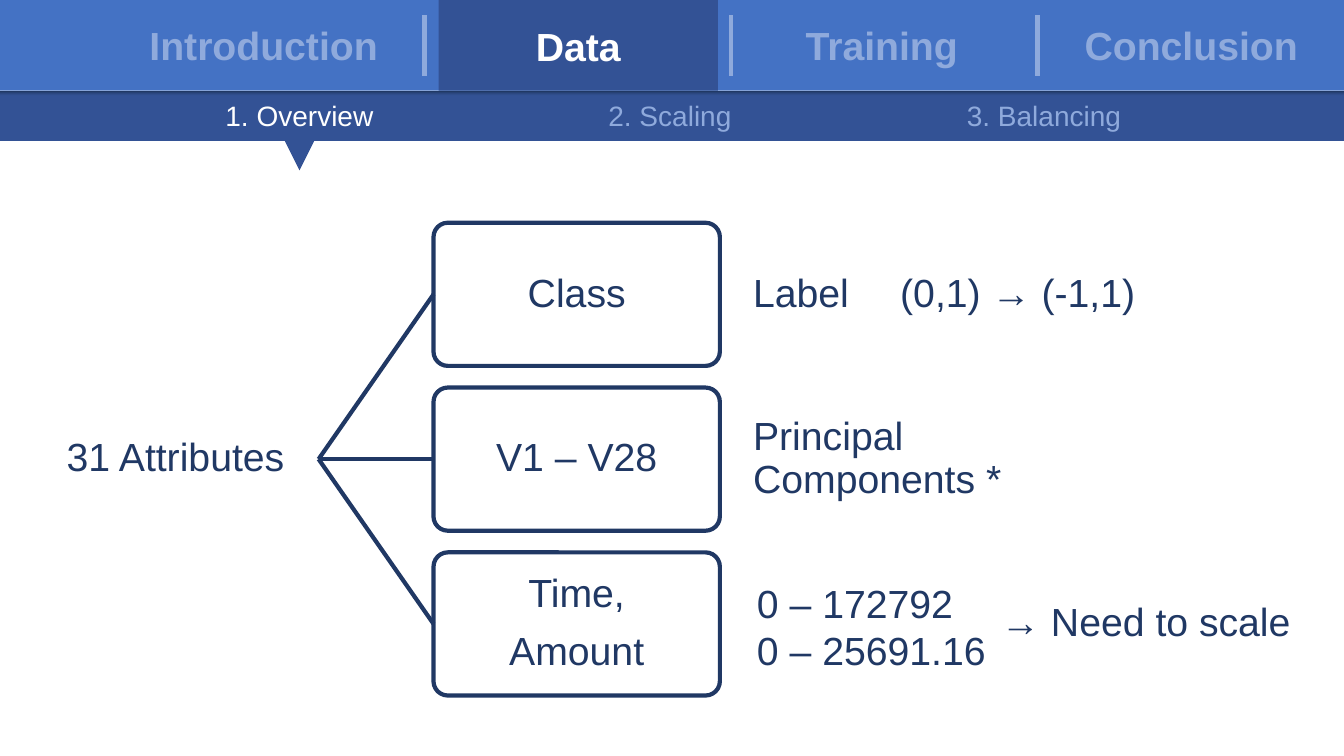
from pptx import Presentation
from pptx.dml.color import RGBColor
from pptx.enum.shapes import MSO_CONNECTOR, MSO_SHAPE
from pptx.enum.text import MSO_ANCHOR, PP_ALIGN
from pptx.oxml.ns import qn
from pptx.util import Inches, Pt
from lxml import etree

BLUE = RGBColor(0x44, 0x72, 0xC4)
DARK_BLUE = RGBColor(0x33, 0x52, 0x95)
NAVY = RGBColor(0x20, 0x38, 0x64)
PALE_BLUE = RGBColor(0x8F, 0xAA, 0xDC)
WHITE = RGBColor(0xFF, 0xFF, 0xFF)

RECTANGLE = MSO_SHAPE.RECTANGLE
ROUNDED = MSO_SHAPE.ROUNDED_RECTANGLE
TRIANGLE = MSO_SHAPE.ISOSCELES_TRIANGLE
STRAIGHT = MSO_CONNECTOR.STRAIGHT
LEFT, CENTER = PP_ALIGN.LEFT, PP_ALIGN.CENTER
TOP, MIDDLE = MSO_ANCHOR.TOP, MSO_ANCHOR.MIDDLE

FONT = "Arial"
BOX_WIDTH, BOX_HEIGHT = 2.84, 1.42
BOX_LEFT, NOTE_LEFT = 4.3, 7.41
BRANCH_TOP, BRANCH_STEP = 2.21, 1.635


class SlideBuilder:
    def __init__(self, presentation):
        self.slide = presentation.slides.add_slide(presentation.slide_layouts[5])
        self.shapes = self.slide.shapes

    def fill_text(self, shape, lines, size=28, color=NAVY, bold=False,
                  align=LEFT, anchor=TOP, wrap=False):
        frame = shape.text_frame
        frame.word_wrap = wrap
        frame.vertical_anchor = anchor
        for index, line in enumerate(lines):
            paragraph = frame.paragraphs[0] if index == 0 else frame.add_paragraph()
            paragraph.alignment = align
            run = paragraph.add_run()
            run.text = line
            run.font.name = FONT
            run.font.size = Pt(size)
            run.font.bold = bold
            run.font.color.rgb = color

    def text(self, box, lines, **style):
        shape = self.shapes.add_textbox(*map(Inches, box))
        self.fill_text(shape, lines, **style)
        return shape

    def title(self, box, text, fill, **style):
        shape = self.shapes.title
        shape.left, shape.top, shape.width, shape.height = map(Inches, box)
        shape.fill.solid()
        shape.fill.fore_color.rgb = fill
        self.fill_text(shape, [text], **style)
        self.shapes._spTree.append(shape._element)

    def shape(self, kind, box, fill=None, outline=None):
        shape = self.shapes.add_shape(kind, *map(Inches, box))
        shape.shadow.inherit = False
        if fill is None:
            shape.fill.background()
        else:
            shape.fill.solid()
            shape.fill.fore_color.rgb = fill
        if outline is None:
            shape.line.fill.background()
        else:
            shape.line.color.rgb = outline
            shape.line.width = Pt(3)
        return shape

    def gradient_bar(self, box, stops, angle):
        bar = self.shape(RECTANGLE, box)
        bar.fill.gradient()
        bar.fill.gradient_angle = angle
        for stop, (position, color) in zip(bar.fill.gradient_stops, stops):
            stop.position = position
            stop.color.rgb = color

    def line(self, start, end, color):
        connector = self.shapes.add_connector(STRAIGHT, *map(Inches, start + end))
        connector.line.color.rgb = color
        connector.line.width = Pt(3)
        etree.SubElement(connector._element.spPr, qn("a:effectLst"))

    def diagram_text(self, shape, lines, align=CENTER):
        self.fill_text(shape, lines, align=align, anchor=MIDDLE, wrap=True)
        frame = shape.text_frame
        frame.margin_left = frame.margin_right = Inches(0.06)
        frame.margin_top = frame.margin_bottom = Inches(0.06)
        for paragraph in frame.paragraphs:
            paragraph.line_spacing = 0.9
            paragraph.space_after = Pt(11)

    def diagram_label(self, left, top, lines, align=CENTER):
        label = self.text((left, top, BOX_WIDTH, BOX_HEIGHT), [])
        self.diagram_text(label, lines, align)

    def diagram_box(self, left, top, lines):
        box = self.shape(ROUNDED, (left, top, BOX_WIDTH, BOX_HEIGHT), outline=NAVY)
        box.adjustments[0] = 0.1
        self.diagram_text(box, lines)


def add_navigation(builder):
    builder.shape(RECTANGLE, (0, 0, 13.33, 0.9), BLUE)
    builder.gradient_bar((0, 0.9, 13.33, 0.5), [(0.9, DARK_BLUE), (1, NAVY)], 90)
    for index in range(3):
        divider = 4.21 + 3.04 * index
        builder.line((divider, 0.15), (divider, 0.75), PALE_BLUE)

    tab_style = dict(bold=True, align=CENTER, anchor=MIDDLE)
    for left, name in [(1.23, "Introduction"), (7.36, "Training"), (10.43, "Conclusion")]:
        builder.text((left, 0, 2.77, 0.9), [name], color=PALE_BLUE, **tab_style)
    builder.title((4.35, 0, 2.77, 0.9), "Data", DARK_BLUE, color=WHITE, **tab_style)

    for left, width, name, color in [
        (2.13, 1.68, "1. Overview", WHITE),
        (5.93, 1.43, "2. Scaling", PALE_BLUE),
        (9.48, 1.75, "3. Balancing", PALE_BLUE),
    ]:
        builder.text((left, 0.93, width, 0.44), [name], size=20, color=color, align=CENTER)
    pointer = builder.shape(TRIANGLE, (2.82, 1.39, 0.3, 0.3), DARK_BLUE)
    pointer.rotation = 180


def add_attribute_tree(builder):
    root_top = BRANCH_TOP + BRANCH_STEP
    root = (0.32 + BOX_WIDTH, root_top + BOX_HEIGHT / 2)
    builder.diagram_label(0.32, root_top, ["31 Attributes"])
    branches = [
        (["Class"], ["Label"]),
        (["V1 – V28"], ["Principal Components *"]),
        (["Time,", "Amount"], []),
    ]
    for index, (names, notes) in enumerate(branches):
        top = BRANCH_TOP + BRANCH_STEP * index
        builder.line(root, (BOX_LEFT, top + BOX_HEIGHT / 2), NAVY)
        builder.diagram_box(BOX_LEFT, top, names)
        if notes:
            builder.diagram_label(NOTE_LEFT, top, notes, LEFT)

    builder.text((8.83, 2.61, 2.55, 0.57), ["(0,1) → (-1,1)"])
    builder.text((NOTE_LEFT, 5.7, 2.5, 1.04), ["0 – 172792", "0 – 25691.16"])
    builder.text((9.83, 5.88, 3.1, 0.57), ["→ Need to scale"])


def main():
    presentation = Presentation()
    presentation.slide_width = Inches(13.33)
    presentation.slide_height = Inches(7.5)
    builder = SlideBuilder(presentation)
    add_navigation(builder)
    add_attribute_tree(builder)
    presentation.save("out.pptx")


if __name__ == "__main__":
    main()
